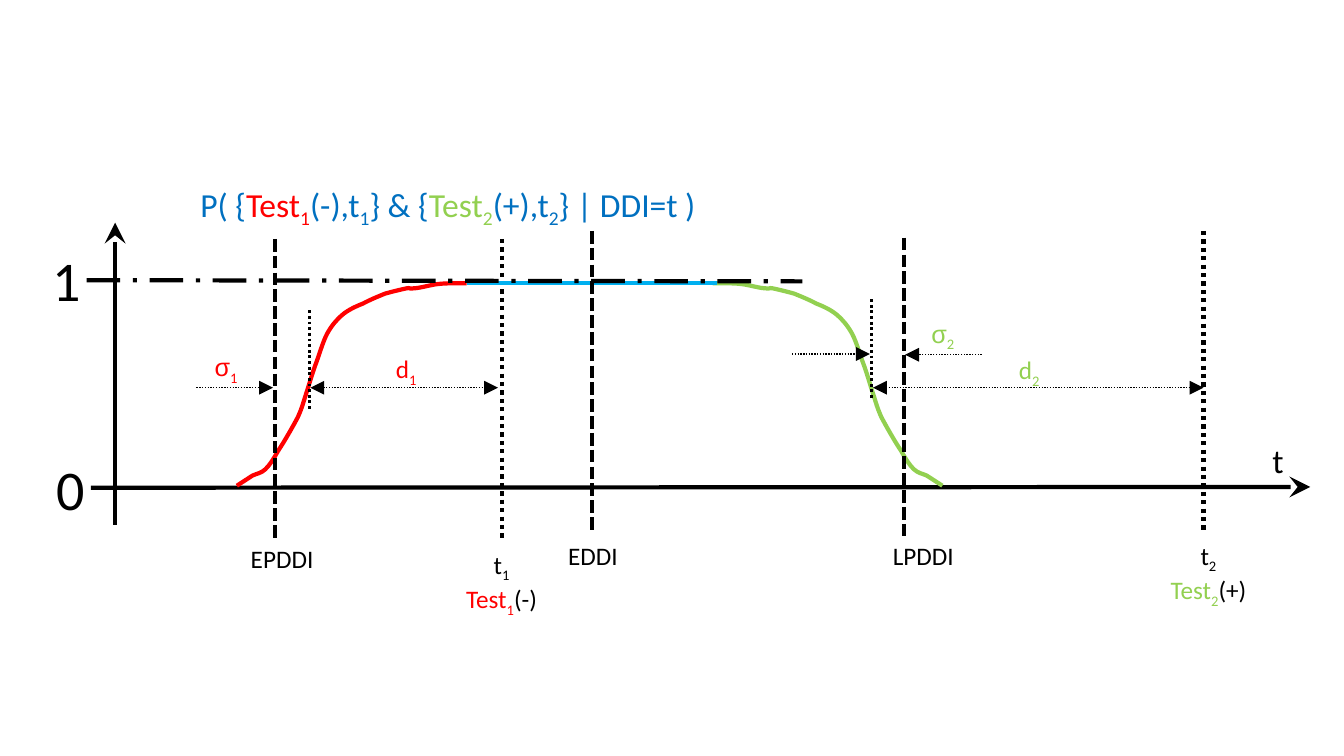
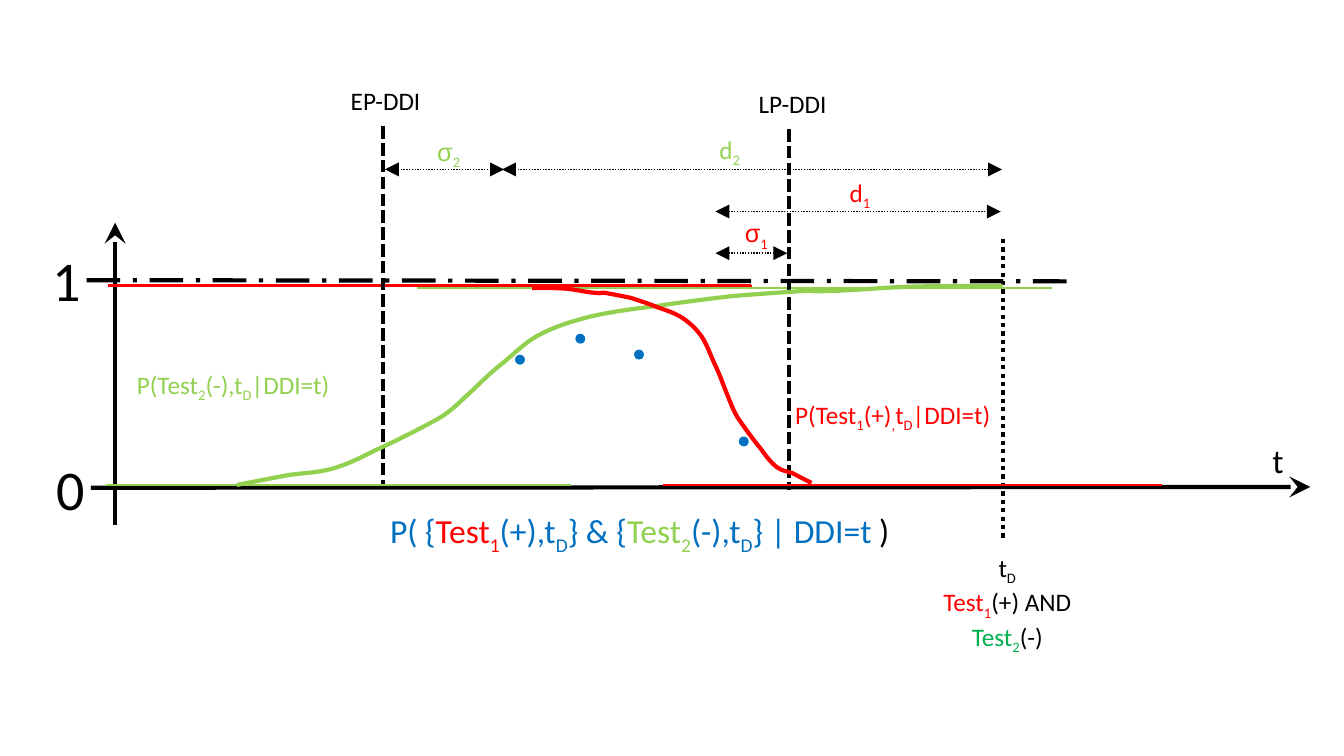
from dataclasses import dataclass
from typing import NamedTuple

from lxml.etree import SubElement
from pptx import Presentation
from pptx.dml.color import RGBColor
from pptx.enum.dml import MSO_LINE as Dash
from pptx.enum.shapes import MSO_CONNECTOR as Link, MSO_SHAPE as Preset
from pptx.enum.text import PP_ALIGN as Align
from pptx.oxml.ns import qn
from pptx.util import Cm, Pt

BLACK, RED, GREEN, BLUE = "000000", "FF0000", "92D050", "0070C0"
SKY, DARK_GREEN = "00B0F0", "00B050"
DOTTED, DASHED = Dash.ROUND_DOT, Dash.SQUARE_DOT
AXIS_X = 2.9

# Rise of the probability curve, in percent of its width and height:
# the straight foot, then Bezier triples, then the straight crest
START, FOOT, CREST = (0, 0), (6.8, 5), (100, 100)
BENDS = [
    ((8.9, 6.1), (10.5, 6.1), (12.4, 8.1)),
    ((14.3, 10.2), (15.7, 12.7), (18, 17.3)),
    ((20.4, 21.3), (24.5, 29.4), (26.6, 34)),
    ((28.6, 39.1), (28.9, 41.1), (30.1, 45.2)),
    ((31.4, 49.7), (32.5, 54.3), (34.1, 59.4)),
    ((35.7, 64), (37.4, 71.1), (39.3, 75.1)),
    ((41.3, 79.2), (43.2, 81.7), (45.8, 84.3)),
    ((48.3, 86.8), (51.8, 88.6), (54.9, 90)),
    ((58, 91.9), (61.3, 93.4), (64.5, 94.9)),
    ((67.6, 95.9), (71.7, 97), (73.8, 97.5)),
    ((75.9, 98), (74.7, 97), (76.8, 97.5)),
    ((79.1, 97.5), (83.7, 99), (86.6, 99.5)),
    ((89.5, 100), (92.6, 100), (94.6, 100)),
    ((96.7, 100), (98.9, 100), (98.9, 100)),
]


class Run(NamedTuple):
    text: str
    color: str = BLACK
    sub: bool = False
    font: str = "Calibri"


@dataclass
class Marker:
    """Vertical line at a moment in time."""
    x: float
    top: float
    bottom: float
    dash: Dash
    width: float = 3


@dataclass
class Span:
    """Dotted horizontal arrow from start to end."""
    start: float
    end: float
    y: float
    double: bool = True


@dataclass
class Label:
    x: float
    y: float
    runs: list[Run]
    width: float = 4.01


def rgb(code: str) -> RGBColor:
    return RGBColor.from_string(code)


def indexed(letter: str, index: str, color: str = BLACK, font: str = "Calibri") -> list[Run]:
    return [Run(letter, color, font=font), Run(index, color, sub=True)]


def sigma(index: str, color: str) -> list[Run]:
    return indexed("σ", index, color, "Arial")


def formula(signs: tuple[str, str], moments: tuple[str, str], closing: str) -> list[Run]:
    return [
        Run("P( {", BLUE), *indexed("Test", "1", RED),
        *indexed(f"({signs[0]}),t", moments[0], BLUE),
        Run("} & {", BLUE), *indexed("Test", "2", GREEN),
        *indexed(f"({signs[1]}),t", moments[1], BLUE),
        Run("} | DDI=t ", BLUE), Run(")", closing),
    ]


def add_text(slide, x: float, y: float, *paragraphs: list[Run], width: float = 4.01,
             height: float = 1.02, size: float = 18, align: Align = Align.LEFT) -> None:
    frame = slide.shapes.add_textbox(Cm(x), Cm(y), Cm(width), Cm(height)).text_frame
    frame.word_wrap = True
    for number, runs in enumerate(paragraphs):
        paragraph = frame.add_paragraph() if number else frame.paragraphs[0]
        paragraph.alignment = align
        for part in runs:
            run = paragraph.add_run()
            run.text = part.text
            run.font.size = Pt(size)
            run.font.name = part.font
            run.font.color.rgb = rgb(part.color)
            if part.sub:
                run.font._element.set("baseline", "-25000")


def add_line(slide, x1: float, y1: float, x2: float, y2: float, color: str = BLACK,
             width: float = 3, dash: Dash | None = None,
             head: str = "", tail: str = "") -> None:
    link = slide.shapes.add_connector(Link.STRAIGHT, Cm(x1), Cm(y1), Cm(x2), Cm(y2))
    link.line.color.rgb = rgb(color)
    link.line.width = Pt(width)
    if dash:
        link.line.dash_style = dash
    properties = link._element.spPr
    outline = properties.find(qn("a:ln"))
    for tag, arrow in (("a:headEnd", head), ("a:tailEnd", tail)):
        if arrow:
            SubElement(outline, qn(tag), type=arrow, w="lg", len="lg")
    SubElement(properties, qn("a:effectLst"))


def add_markers(slide, markers: list[Marker]) -> None:
    for m in markers:
        add_line(slide, m.x, m.top, m.x, m.bottom, width=m.width, dash=m.dash)


def add_spans(slide, spans: list[Span]) -> None:
    for s in spans:
        add_line(slide, s.start, s.y, s.end, s.y, width=1, dash=DOTTED,
                 head="triangle" if s.double else "", tail="triangle")


def add_labels(slide, labels: list[Label]) -> None:
    for label in labels:
        add_text(slide, label.x, label.y, label.runs, width=label.width)


def add_curve(slide, foot: tuple[float, float], crest: tuple[float, float], color: str) -> None:
    """Draw the curve from foot to crest; a crest to the left mirrors it."""
    def place(point: tuple[float, float]) -> tuple[int, int]:
        return tuple(Cm(a + (b - a) * share / 100) for a, b, share in zip(foot, crest, point))

    builder = slide.shapes.build_freeform(*place(START))
    builder.add_line_segments([place(p) for p in (FOOT, *(b[2] for b in BENDS), CREST)],
                              close=False)
    curve = builder.convert_to_shape()
    curve.shadow.inherit = False
    curve.fill.background()
    curve.line.color.rgb = rgb(color)
    curve.line.width = Pt(3)

    # Turn the straight segments between foot and crest into Bezier ones
    segments = list(curve._element.iter(qn("a:lnTo")))[1:-1]
    for segment, bend in zip(segments, BENDS):
        segment.tag = qn("a:cubicBezTo")
        for position, control in enumerate(bend[:2]):
            x, y = place(control)
            segment.insert(position, segment.makeelement(
                qn("a:pt"), {"x": str(x - curve.left), "y": str(y - curve.top)}))


def add_dot(slide, x: float, y: float) -> None:
    dot = slide.shapes.add_shape(Preset.OVAL, Cm(x), Cm(y), Cm(0.25), Cm(0.25))
    dot.shadow.inherit = False
    dot.fill.solid()
    dot.fill.fore_color.rgb = rgb(BLUE)
    dot.line.fill.background()


def add_axes(slide) -> None:
    add_line(slide, AXIS_X, 5.61, AXIS_X, 13.23, head="stealth")
    add_line(slide, 2.29, 12.29, 33.02, 12.27, tail="stealth")
    for x, y, value in ((1.17, 11.33, "0"), (1.07, 6.05, "1")):
        add_text(slide, x, y, [Run(value)], width=1.57, height=1.96, size=40)
    add_text(slide, 30.73, 10.97, [Run("t")], width=2.95, height=1.27, size=24,
             align=Align.CENTER)


def add_level(slide, end: float) -> None:
    add_line(slide, 2.18, 7.06, end, 7.09, dash=Dash.LONG_DASH_DOT)


def build_two_tests(slide) -> None:
    add_axes(slide)
    add_markers(slide, [Marker(12.65, 6.02, 13.64, DOTTED), Marker(30.33, 5.82, 13.44, DOTTED)])

    # Probability curve in three parts, below the level of 1
    add_curve(slide, (23.75, 12.24), (17.96, 7.14), GREEN)
    add_line(slide, 11.76, 7.14, 18.06, 7.14, SKY)
    add_curve(slide, (5.97, 12.24), (11.76, 7.14), RED)
    add_level(slide, 20.22)

    # Moments and the distances between them
    add_markers(slide, [
        Marker(14.91, 5.82, 13.44, DASHED),
        Marker(6.93, 6.02, 13.64, DASHED),
        Marker(22.78, 5.99, 13.61, DASHED),
        Marker(7.8, 7.82, 10.36, DOTTED, 2),
        Marker(21.97, 7.54, 10.08, DOTTED, 2),
    ])
    add_spans(slide, [
        Span(7.82, 12.55, 9.77),
        Span(22, 30.33, 9.77),
        Span(4.95, 6.88, 9.77, double=False),
        Span(19.96, 21.92, 8.92, double=False),
        Span(24.74, 22.81, 8.94, double=False),
    ])

    # Labels
    add_text(slide, 4.8, 4.5, formula(("-", "+"), ("1", "2"), BLUE),
             width=13.54, height=1.27, size=24)
    add_labels(slide, [
        Label(9.73, 8.79, indexed("d", "1", RED), 2.72),
        Label(25.43, 8.81, indexed("d", "2", GREEN), 2.72),
        Label(5.16, 8.74, sigma("1", RED), 1.2),
        Label(23.22, 7.9, sigma("2", GREEN), 1.2),
        Label(14.07, 13.49, [Run("EDDI")]),
        Label(22.25, 13.49, [Run("LPDDI")]),
        Label(6.07, 13.56, [Run("EPDDI")]),
    ])
    for x, y, width, index, color, sign in ((11.05, 13.72, 3.18, "1", RED, "(-)"),
                                            (28.98, 13.49, 2.95, "2", GREEN, "(+)")):
        add_text(slide, x, y, indexed("t", index), [*indexed("Test", index, color), Run(sign)],
                 width=width, height=1.8, align=Align.CENTER)


def build_one_moment(slide) -> None:
    add_axes(slide)
    add_level(slide, 26.97)
    add_markers(slide, [Marker(25.27, 6.02, 13.64, DOTTED)])
    add_line(slide, 2.72, 7.19, 18.92, 7.19, RED, 2)
    add_line(slide, 10.52, 7.25, 26.52, 7.25, GREEN, 1.5)
    add_markers(slide, [Marker(19.89, 3.25, 12.34, DASHED), Marker(9.65, 3.18, 12.27, DASHED)])

    # One curve per test, with its flat ends
    add_curve(slide, (5.97, 12.22), (25.27, 7.21), GREEN)
    add_line(slide, 2.67, 12.22, 14.38, 12.22, GREEN, 2)
    add_line(slide, 18.95, 7.21, 12.73, 7.21, RED, 1.5)
    add_curve(slide, (20.45, 12.17), (13.41, 7.26), RED)
    add_line(slide, 16.71, 12.22, 29.29, 12.22, RED, 1.5)

    add_spans(slide, [
        Span(18.03, 25.22, 5.33),
        Span(12.65, 25.25, 4.27),
        Span(9.7, 12.7, 4.27),
        Span(18.03, 19.84, 6.38),
    ])

    # Labels
    add_text(slide, 9.58, 12.73, formula(("+", "-"), ("D", "D"), BLACK),
             width=13.36, height=1.27, size=24)
    add_labels(slide, [
        Label(8.59, 2.03, [Run("EP-DDI")]),
        Label(18.87, 2.11, [Run("LP-DDI")]),
        Label(21.16, 4.34, indexed("d", "1", RED), 3.28),
        Label(17.88, 3.25, indexed("d", "2", GREEN), 3.28),
        Label(10.77, 3.3, sigma("2", GREEN), 1.2),
        Label(18.52, 5.36, sigma("1", RED), 1.2),
        Label(19.79, 9.93, [*indexed("P(Test", "1", RED), *indexed("(+)", ",", RED),
                            *indexed("t", "D", RED), Run("|DDI=t)", RED)], 6.17),
        Label(3.2, 9.17, [*indexed("P(Test", "2", GREEN), *indexed("(-),t", "D", GREEN),
                          Run("|DDI=t)", GREEN)], 6.99),
    ])
    add_text(slide, 23.16, 13.79, indexed("t", "D"),
             [*indexed("Test", "1", RED), Run("(+) AND "),
              *indexed("Test", "2", DARK_GREEN), Run("(-)")],
             width=4.45, height=2.57, align=Align.CENTER)

    # Points of the joint probability
    for x, y in ((12.98, 8.94), (14.5, 8.41), (15.98, 8.81), (18.62, 11)):
        add_dot(slide, x, y)


def main() -> None:
    deck = Presentation()
    deck.slide_width, deck.slide_height = Cm(33.87), Cm(19.05)
    blank = deck.slide_layouts[6]
    for build in (build_two_tests, build_one_moment):
        build(deck.slides.add_slide(blank))
    deck.save("out.pptx")


if __name__ == "__main__":
    main()
